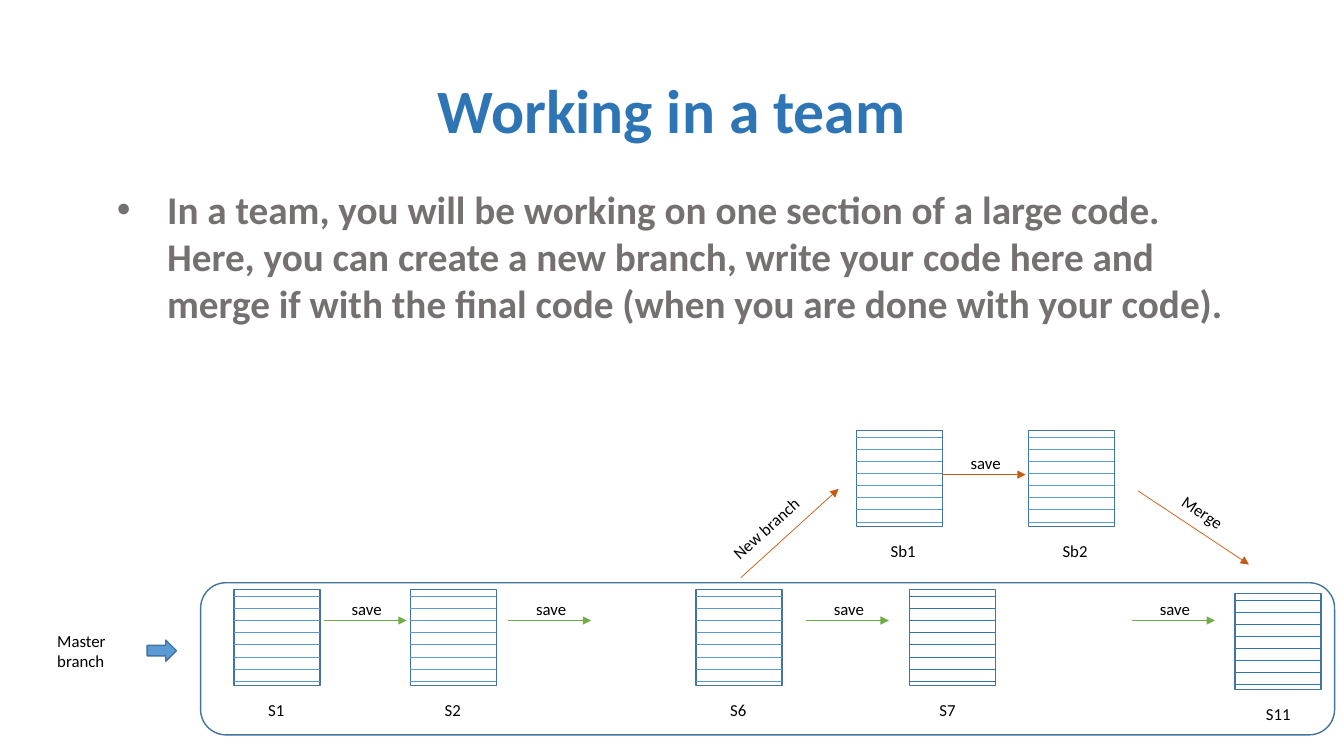
from dataclasses import dataclass

from lxml.etree import SubElement
from pptx import Presentation
from pptx.dml.color import RGBColor
from pptx.enum.shapes import MSO_CONNECTOR as Connector, MSO_SHAPE as Shape
from pptx.enum.text import MSO_ANCHOR as Anchor, MSO_AUTO_SIZE as AutoSize, PP_ALIGN as Align
from pptx.oxml.ns import qn
from pptx.util import Pt


@dataclass(frozen=True)
class Theme:
    font: str = "Calibri"
    title: str = "2E75B6"
    body: str = "767171"
    label: str = "000000"
    paper: str = "FFFFFF"
    outline: str = "43739E"
    block_arrow: str = "5B9BD5"
    rule: str = "5B9BD5"
    dark_rule: str = "2E75B6"
    save: str = "70AD47"
    branch: str = "C55A11"
    title_size: float = 44
    body_size: float = 28
    label_size: float = 12
    outline_width: float = 1
    thin_width: float = 0.5


CARD_WIDTH, CARD_HEIGHT = 61.4, 68.6
RULE_COUNT, FIRST_RULE, RULE_STEP = 8, 4.8, 8.64
SAVE_LENGTH = 59.4


def write(frame, text, *, font, size, color, bold=False, align=Align.LEFT,
          spacing=None, bullet=None, indent=0):
    paragraph = frame.paragraphs[0]
    paragraph.alignment = align
    if spacing:
        paragraph.line_spacing = spacing
    if bullet:
        properties = paragraph._p.get_or_add_pPr()
        properties.set("marL", str(Pt(indent)))
        properties.set("indent", str(-Pt(indent)))
        SubElement(properties, qn("a:buFont"), typeface="Arial")
        SubElement(properties, qn("a:buChar"), char=bullet)
    run = paragraph.add_run()
    run.text = text
    run.font.name = font
    run.font.size = Pt(size)
    run.font.bold = bold
    run.font.color.rgb = RGBColor.from_string(color)


class BranchSlide:
    def __init__(self, slide, theme):
        self.slide = slide
        self.theme = theme

    def title(self, text, left, top, width, height):
        shape = self.slide.shapes.title
        shape.left, shape.top = Pt(left), Pt(top)
        shape.width, shape.height = Pt(width), Pt(height)
        shape.text_frame.vertical_anchor = Anchor.MIDDLE
        write(shape.text_frame, text, font=self.theme.font, size=self.theme.title_size,
              color=self.theme.title, bold=True, align=Align.CENTER, spacing=0.9)

    def text(self, text, left, top, width, height, rotation=0, **text_format):
        box = self.slide.shapes.add_textbox(Pt(left), Pt(top), Pt(width), Pt(height))
        box.rotation = rotation
        box.text_frame.word_wrap = True
        box.text_frame.auto_size = AutoSize.SHAPE_TO_FIT_TEXT
        settings = dict(font=self.theme.font, size=self.theme.label_size,
                        color=self.theme.label)
        write(box.text_frame, text, **(settings | text_format))

    def shape(self, kind, left, top, width, height, fill=None):
        shape = self.slide.shapes.add_shape(kind, Pt(left), Pt(top), Pt(width), Pt(height))
        shape.shadow.inherit = False
        if fill:
            shape.fill.solid()
            shape.fill.fore_color.rgb = RGBColor.from_string(fill)
        else:
            shape.fill.background()
        shape.line.color.rgb = RGBColor.from_string(self.theme.outline)
        shape.line.width = Pt(self.theme.outline_width)

    def line(self, start, end, color, arrow=False):
        connector = self.slide.shapes.add_connector(
            Connector.STRAIGHT, *(Pt(value) for value in (*start, *end)))
        connector.line.color.rgb = RGBColor.from_string(color)
        connector.line.width = Pt(self.theme.thin_width)
        if arrow:
            SubElement(connector.line._get_or_add_ln(), qn("a:tailEnd"), type="triangle")
        SubElement(connector._element.spPr, qn("a:effectLst"))

    def card(self, name, left, top, rule_color, label_shift=17.3, label_width=33):
        """Draw one saved version: a ruled sheet with its name below."""
        self.shape(Shape.RECTANGLE, left, top, CARD_WIDTH, CARD_HEIGHT, self.theme.paper)
        for index in range(RULE_COUNT):
            y = top + FIRST_RULE + index * RULE_STEP
            self.line((left, y), (left + CARD_WIDTH, y), rule_color)
        self.text(name, left + label_shift, top + 75.4, label_width, 21.8)

    def save_arrow(self, left, top, color):
        self.line((left, top), (left + SAVE_LENGTH, top), color, arrow=True)
        self.text("save", left + 13, top - 19.3, 41, 21.8)


def main():
    presentation = Presentation()
    presentation.slide_width, presentation.slide_height = Pt(960), Pt(540)
    theme = Theme()
    page = BranchSlide(presentation.slides.add_slide(presentation.slide_layouts[5]), theme)

    page.title("Working in a team", 66, 28.8, 828, 104.4)
    page.text("In a team, you will be working on one section of a large code. "
              "Here, you can create a new branch, write your code here and "
              "merge if with the final code (when you are done with your code).",
              76.3, 128.9, 807.8, 108.7, size=theme.body_size, color=theme.body,
              bold=True, bullet="•", indent=36)

    master_top, branch_top = 421.2, 307.5
    for name, left in (("S1", 167.2), ("S2", 293.2), ("S6", 497.2)):
        page.card(name, left, master_top, theme.rule)
    page.card("S7", 649.6, master_top, theme.dark_rule, label_shift=14.4)
    for left in (231.1, 362.9, 575.5, 808.4):
        page.save_arrow(left, 443.2, theme.save)
    page.shape(Shape.ROUNDED_RECTANGLE, 143.3, 416.2, 810, 108.7)
    page.text("Master branch", 33.8, 447.1, 70.6, 36)
    page.shape(Shape.RIGHT_ARROW, 105.1, 457.2, 20.9, 15.1, theme.block_arrow)

    page.text("New branch", 501.8, 366.5, 90.7, 21.8, rotation=317.9, align=Align.CENTER)
    page.line((529.2, 412.6), (599, 349.2), theme.branch, arrow=True)
    for name, left in (("Sb1", 611.8), ("Sb2", 734.6)):
        page.card(name, left, branch_top, theme.rule, label_width=35.3)
    page.save_arrow(673.2, 339, theme.branch)

    page.card("S11", 882.2, 423.8, theme.dark_rule, label_shift=15)
    page.text("Merge", 813.6, 355, 90.7, 21.8, rotation=33.5, align=Align.CENTER)
    page.line((812.9, 350.6), (892.1, 403.2), theme.branch, arrow=True)

    presentation.save("out.pptx")


if __name__ == "__main__":
    main()
